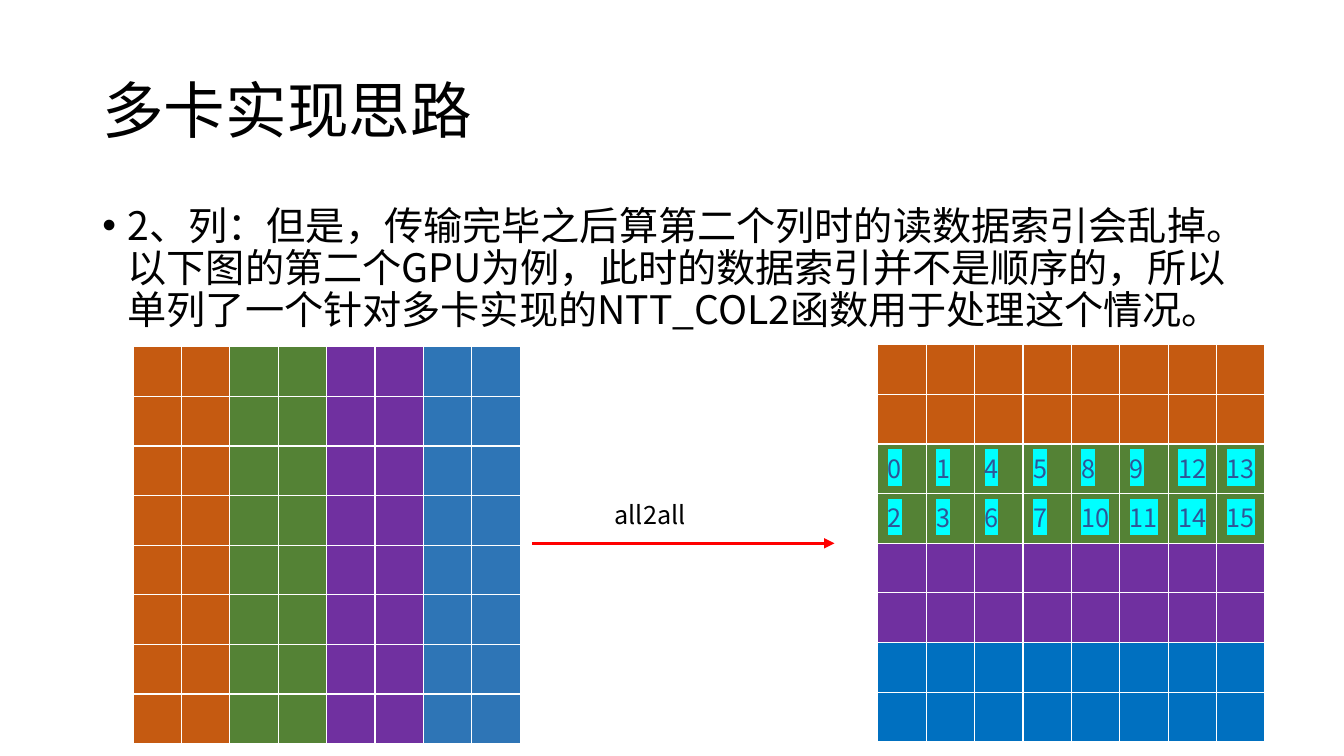
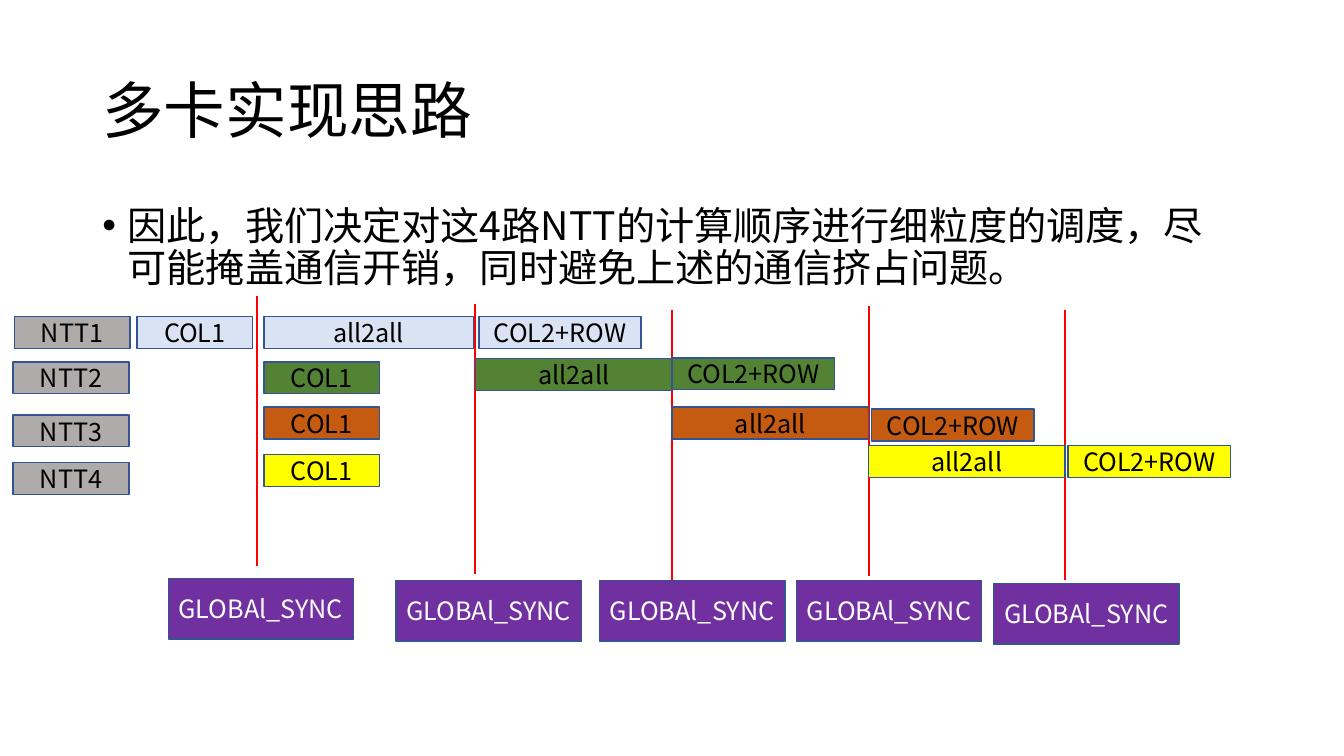
from lxml import etree
from pptx import Presentation
from pptx import util as u
from pptx.dml.color import RGBColor
from pptx.enum import lang, shapes, text
from pptx.oxml.ns import qn

FONT = "Noto Sans CJK SC"
COLORS = {
    "black": "000000", "white": "FFFFFF", "red": "FF0000", "outline": "325491",
    "orange": "C55A11", "green": "548235", "purple": "7030A0", "steel": "2E75B6",
    "blue": "0070C0", "pale": "DAE3F3", "yellow": "FFFF00", "grey": "AFABAB",
    "navy": "2F5597", "cyan": "00FFFF",
}
TITLE = "多卡实现思路"
COLUMN_TEXT = ("2、列：但是，传输完毕之后算第二个列时的读数据索引会乱掉。"
               "以下图的第二个GPU为例，此时的数据索引并不是顺序的，"
               "所以单列了一个针对多卡实现的NTT_COL2函数用于处理这个情况。")
SCHEDULE_TEXT = ("因此，我们决定对这4路NTT的计算顺序进行细粒度的调度，"
                 "尽可能掩盖通信开销，同时避免上述的通信挤占问题。")

# Lengths are in centimetres.
GRID = 8
CELL_W, CELL_H = 1.22, 1.25
COLUMN_BANDS = ["orange", "green", "purple", "steel"]
ROW_BANDS = ["orange", "green", "purple", "blue"]
INDEX_ROWS = {2: [0, 1, 4, 5, 8, 9, 12, 13], 3: [2, 3, 6, 7, 10, 11, 14, 15]}

BAR_H = 0.8
STAGE_W = {"NTT": 2.92, "COL1": 2.92, "all2all": 4.95, "COL2+ROW": 4.09}
# lane name, colour, then (left, top) of its label and each stage
LANES = [
    ("NTT1", "pale", [(0.36, 7.98), (3.45, 7.98), (6.65, 7.98), (12.07, 7.98)]),
    ("NTT2", "green", [(0.33, 9.12), (6.65, 9.12), (11.99, 9.04), (16.94, 9.02)]),
    ("NTT3", "orange", [(0.33, 10.46), (6.65, 10.26), (16.94, 10.26), (21.97, 10.31)]),
    ("NTT4", "yellow", [(0.33, 11.66), (6.65, 11.46), (21.89, 11.23), (26.92, 11.23)]),
]
FIRST_TRANSFER_W = 5.28
SYNC_W, SYNC_H, SYNC_LINE = 4.67, 1.52, 6.79
# line x, line top, box left, box top
SYNCS = [
    (6.48, 7.47, 4.24, 14.58), (11.96, 7.67, 9.98, 14.63), (16.94, 7.82, 15.11, 14.63),
    (21.89, 7.72, 20.07, 14.63), (26.85, 7.82, 25.04, 14.71),
]


def rgb(name):
    return RGBColor.from_string(COLORS[name])


def cm(*lengths):
    return [u.Cm(n) for n in lengths]


def write(tf, words, size=18, color="black", highlight=None, **paragraph):
    """Put one styled run in the frame's first paragraph and return the paragraph."""
    p = tf.paragraphs[0]
    for key, value in paragraph.items():
        setattr(p, key, value)
    r = p.add_run()
    r.text = words
    font = {"size": u.Pt(size), "name": FONT,
            "language_id": lang.MSO_LANGUAGE_ID.SIMPLIFIED_CHINESE}
    for key, value in font.items():
        setattr(r.font, key, value)
    r.font.color.rgb = rgb(color)
    latin = r.font._element.find(qn("a:latin"))
    ea = etree.Element(qn("a:ea"), typeface=FONT)
    latin.addnext(ea)
    if highlight:
        mark = etree.Element(qn("a:highlight"))
        etree.SubElement(mark, qn("a:srgbClr"), val=COLORS[highlight])
        latin.addprevious(mark)
    return p


def add_text(slide, box, words, anchor=text.MSO_ANCHOR.TOP, **style):
    tf = slide.shapes.add_textbox(*cm(*box)).text_frame
    tf.word_wrap = True
    tf.vertical_anchor = anchor
    return write(tf, words, **style)


def add_bullet(p):
    pPr = p._p.get_or_add_pPr()
    for key, value in {"marL": 0.64, "indent": -0.64}.items():
        pPr.set(key, str(u.Cm(value)))
    etree.SubElement(pPr, qn("a:buFont"), typeface="Arial")
    etree.SubElement(pPr, qn("a:buChar"), char="•")


def add_page(prs, body):
    slide = prs.slides.add_slide(prs.slide_layouts[6])
    add_text(slide, (2.33, 1.01, 29.21, 3.68), TITLE, text.MSO_ANCHOR.MIDDLE,
             size=44, line_spacing=0.9)
    add_bullet(add_text(slide, (2.33, 5.07, 29.21, 12.09), body, size=28,
                        line_spacing=0.9, space_before=u.Pt(10)))
    return slide


def add_line(slide, start, end, width, arrow=False):
    line = slide.shapes.add_connector(shapes.MSO_CONNECTOR.STRAIGHT, *cm(*start, *end))
    line.line.color.rgb = rgb("red")
    line.line.width = u.Pt(width)
    if arrow:
        etree.SubElement(line.line._get_or_add_ln(), qn("a:tailEnd"), type="triangle")
    etree.SubElement(line._element.spPr, qn("a:effectLst"))


def add_box(slide, box, words, fill, color="black"):
    sp = slide.shapes.add_shape(shapes.MSO_SHAPE.RECTANGLE, *cm(*box))
    sp.shadow.inherit = False
    sp.fill.solid()
    sp.fill.fore_color.rgb = rgb(fill)
    sp.line.color.rgb = rgb("outline")
    sp.line.width = u.Pt(1)
    tf = sp.text_frame
    tf.word_wrap = False
    tf.vertical_anchor = text.MSO_ANCHOR.MIDDLE
    write(tf, words, color=color, alignment=text.PP_ALIGN.CENTER)


def add_grid(slide, left, top, bands, by_column=False, numbers=None):
    """Draw the data matrix, two columns or two rows to each band."""
    table = slide.shapes.add_table(
        GRID, GRID, *cm(left, top, GRID * CELL_W, GRID * CELL_H)).table
    for i in range(GRID):
        table.columns[i].width = u.Cm(CELL_W)
        table.rows[i].height = u.Cm(CELL_H)
    for row in range(GRID):
        for col in range(GRID):
            cell = table.cell(row, col)
            cell.fill.solid()
            cell.fill.fore_color.rgb = rgb(bands[(col if by_column else row) // 2])
            if numbers and row in numbers:
                write(cell.text_frame, str(numbers[row][col]),
                      color="navy", highlight="cyan")


def build_exchange(prs):
    slide = add_page(prs, COLUMN_TEXT)
    add_grid(slide, 3.35, 8.74, COLUMN_BANDS, by_column=True)
    add_line(slide, (13.41, 13.69), (21.03, 13.69), 2.5, arrow=True)
    add_text(slide, (15.24, 12.47, 2.79, 1.02), "all2all")
    add_grid(slide, 22.12, 8.69, ROW_BANDS, numbers=INDEX_ROWS)


def build_schedule(prs):
    slide = add_page(prs, SCHEDULE_TEXT)
    for x, top, left, box_top in SYNCS:
        add_line(slide, (x, top), (x, top + SYNC_LINE), 1.5)
        add_box(slide, (left, box_top, SYNC_W, SYNC_H), "GLOBAl_SYNC", "purple", "white")
    for lane, color, places in LANES:
        for (stage, width), (left, top) in zip(STAGE_W.items(), places):
            is_label = stage == "NTT"
            if lane == "NTT1" and stage == "all2all":
                width = FIRST_TRANSFER_W
            add_box(slide, (left, top, width, BAR_H),
                    lane if is_label else stage, "grey" if is_label else color)


def main():
    prs = Presentation()
    prs.slide_width, prs.slide_height = cm(33.87, 19.05)
    build_exchange(prs)
    build_schedule(prs)
    prs.save("out.pptx")


if __name__ == "__main__":
    main()
